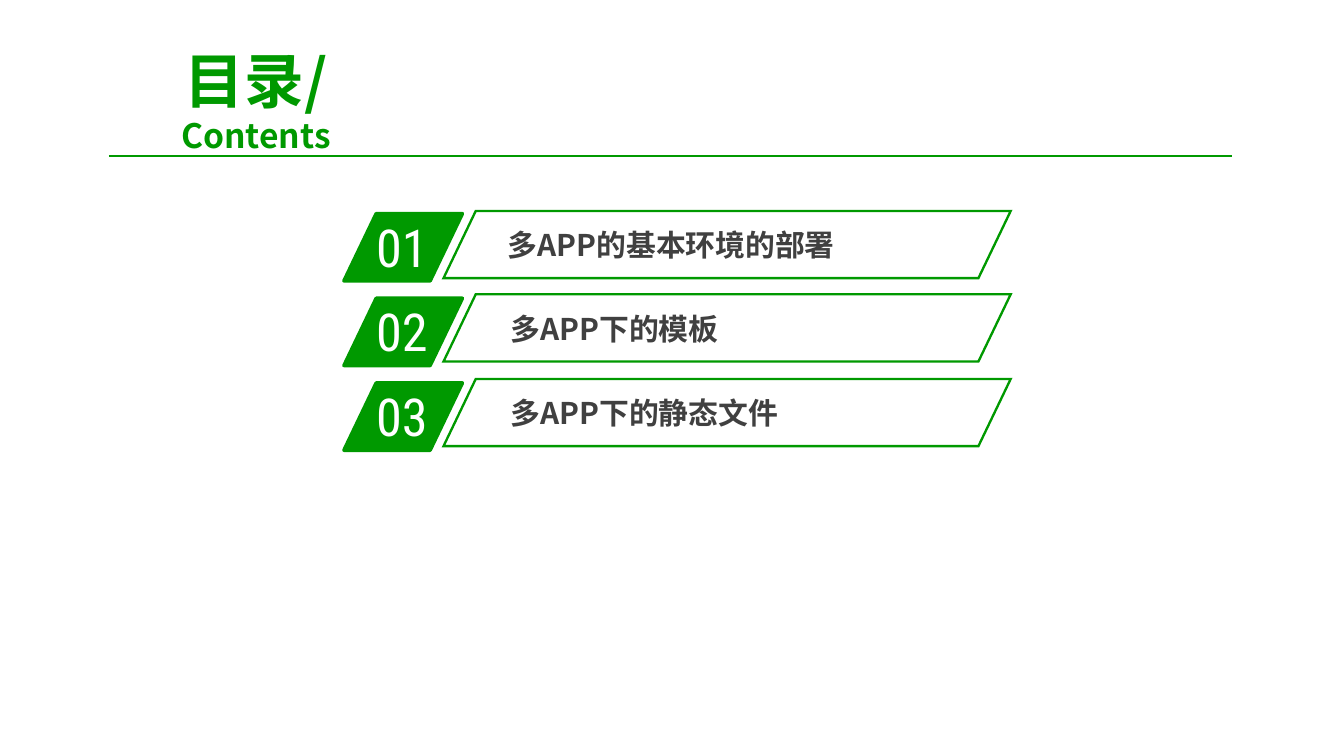
from lxml import etree
from pptx import Presentation
from pptx import util as u
from pptx.dml.color import RGBColor
from pptx.enum import shapes, text
from pptx.oxml.ns import qn

GREEN, GREY, WHITE = "009900", "404040", "FFFFFF"
HEADING_FONT, NUMBER_FONT = "Noto Sans CJK SC", "Roboto Condensed"
ROW_PITCH = 0.63
TOPICS = ["多APP的基本环境的部署", "多APP下的模板", "多APP下的静态文件"]


def colour(value):
    return RGBColor.from_string(value)


def area(left, top, width, height):
    return [u.Inches(value) for value in (left, top, width, height)]


def add_span(para, words, size, font, ink, bold=False):
    span = para.add_run()
    span.text = words
    span.font.size = u.Pt(size)
    span.font.name = font
    span.font.bold = bold
    span.font.color.rgb = colour(ink)
    east_asian = etree.SubElement(span.font._element, qn("a:ea"))
    east_asian.set("typeface", font)


def add_text(page, bounds, lines, font, ink, bold=False, inset=(0.1, 0.05),
             anchor=text.MSO_ANCHOR.TOP, align=text.PP_ALIGN.LEFT, before=None):
    box = page.shapes.add_textbox(*area(*bounds))
    frame = box.text_frame
    frame.word_wrap = True
    frame.vertical_anchor = anchor
    frame.margin_left = frame.margin_right = u.Inches(inset[0])
    frame.margin_top = frame.margin_bottom = u.Inches(inset[1])
    para = frame.paragraphs[0]
    para.alignment = align
    if before:
        para.space_before = u.Pt(before)
    for index, (words, size) in enumerate(lines):
        if index:
            para.add_line_break()
        add_span(para, words, size, font, ink, bold)


def add_slanted(page, bounds, width, join, fill=None):
    shape = page.shapes.add_shape(shapes.MSO_SHAPE.PARALLELOGRAM, *area(*bounds))
    shape.shadow.inherit = False
    shape.adjustments[0] = 0.48
    if fill:
        shape.fill.solid()
        shape.fill.fore_color.rgb = colour(fill)
    else:
        shape.fill.background()
    shape.line.color.rgb = colour(GREEN)
    shape.line.width = u.Pt(width)
    etree.SubElement(shape.line._get_or_add_ln(), qn("a:" + join))


def add_header(page, left, top):
    add_text(page, (left, top, 2.47, 0.54), [("目录/", 32), ("Contents", 18)],
             HEADING_FONT, GREEN, bold=True, anchor=text.MSO_ANCHOR.MIDDLE,
             align=text.PP_ALIGN.CENTER, before=6.4)
    x, y = left + 0.14, top + 0.69
    rule = page.shapes.add_connector(
        shapes.MSO_CONNECTOR.STRAIGHT, *area(x, y, x + 8.36, y))
    rule.line.color.rgb = colour(GREEN)
    rule.line.width = u.Pt(0.75)
    etree.SubElement(rule._element.spPr, qn("a:effectLst"))


def add_topic(page, left, top, number, topic):
    nudge = 0 if number == 1 else 0.01
    bar_top = top - 0.02 - nudge
    add_slanted(page, (left, top, 0.88, 0.5), 2, "round", GREEN)
    add_text(page, (left + 0.14, top - 0.04, 0.84, 0.57),
             [(f"{number:02}", 28)], NUMBER_FONT, WHITE)
    add_text(page, (left + 1.15 + 2 * nudge, bar_top + 0.08, 3.37, 0.35),
             [(topic, 16)], HEADING_FONT, GREY, bold=True, inset=(0.07, 0.04))
    add_slanted(page, (left + 0.74, bar_top, 4.22, 0.5), 1.25, "miter")


def build_contents(deck):
    page = deck.slides.add_slide(deck.slide_layouts[6])
    add_header(page, 0.67, 0.47)
    for index, topic in enumerate(TOPICS):
        add_topic(page, 2.56, 1.59 + index * ROW_PITCH, index + 1, topic)


deck = Presentation()
deck.slide_width = u.Inches(10)
deck.slide_height = u.Inches(10 * 9 / 16)
build_contents(deck)
deck.save("out.pptx")
